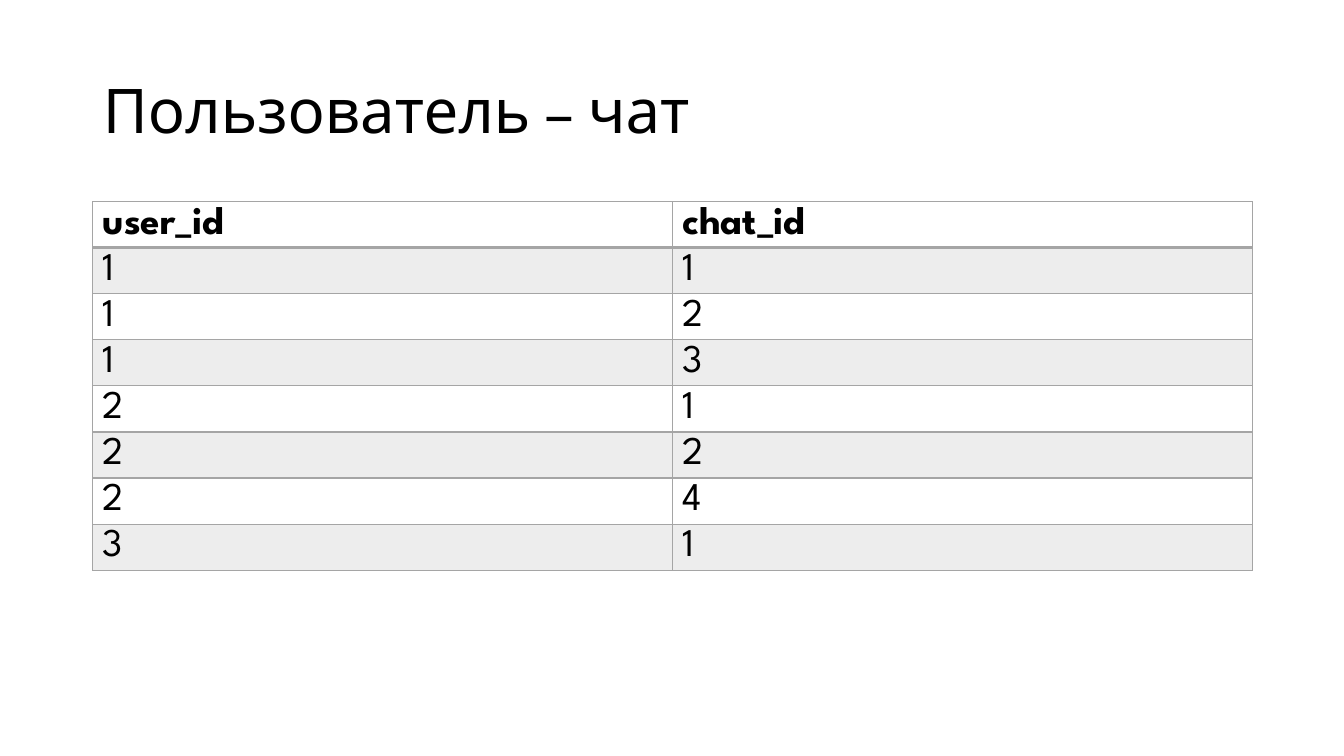
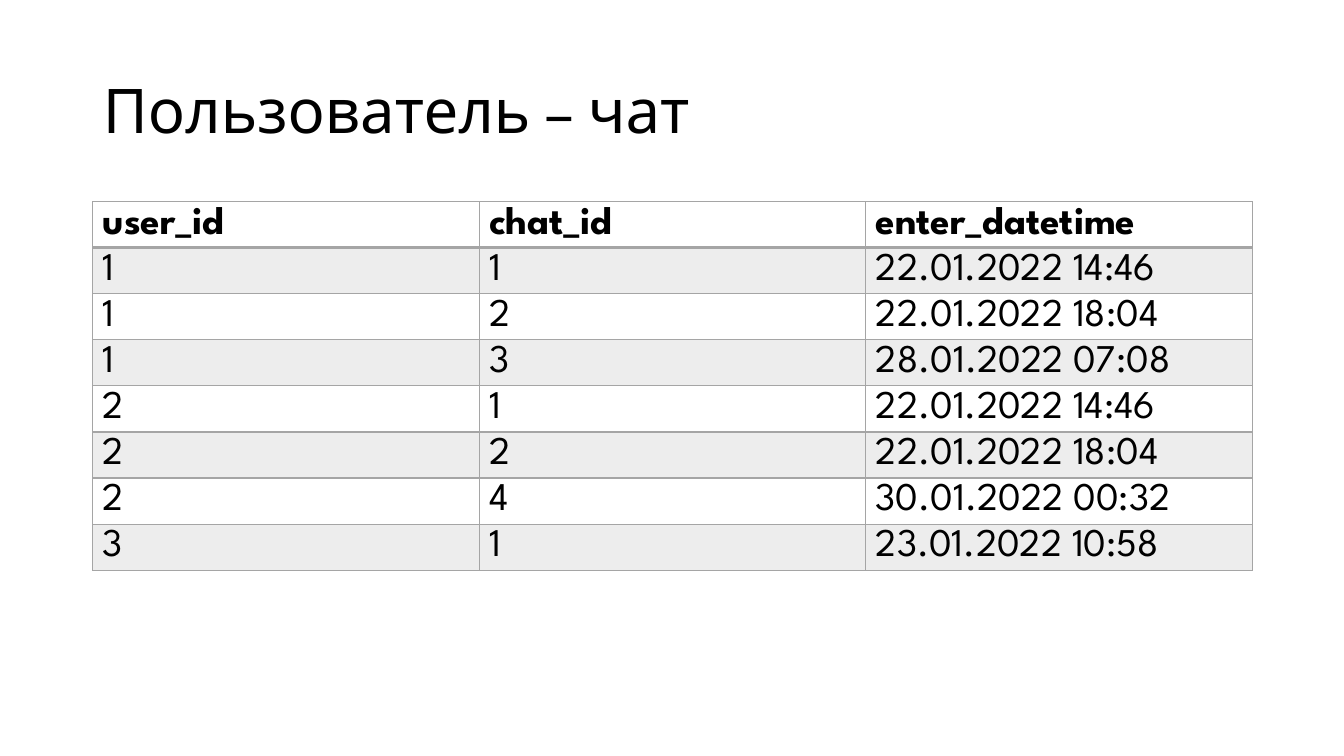
from dataclasses import dataclass

from lxml.etree import SubElement
from pptx import Presentation
from pptx.dml.color import RGBColor
from pptx.enum.text import MSO_ANCHOR, PP_ALIGN
from pptx.oxml.ns import qn
from pptx.util import Inches, Pt


@dataclass(frozen=True)
class Theme:
    """Colours, type and line weights shared by all slides."""
    font: str = "League Spartan"
    ink: RGBColor = RGBColor(0, 0, 0)
    grey: RGBColor = RGBColor(0xA5, 0xA5, 0xA5)
    band_opacity: int = 20
    title_size: int = 44
    table_size: int = 28
    thin: int = 1
    thick: int = 2


@dataclass(frozen=True)
class Box:
    """A region of the page, in inches."""
    left: float
    top: float
    width: float
    height: float

    def lengths(self):
        """Return left, top, width and height as lengths."""
        return [Inches(n) for n in (self.left, self.top, self.width, self.height)]


THEME = Theme()
TITLE_BOX = Box(0.92, 0.4, 11.5, 1.45)
TABLE_BOX = Box(0.92, 2, 11.5, 4.53)
ROW_HEIGHT = 0.41
TITLE = "Пользователь – чат"
MEMBERSHIPS = [
    ("1", "1", "22.01.2022 14:46"),
    ("1", "2", "22.01.2022 18:04"),
    ("1", "3", "28.01.2022 07:08"),
    ("2", "1", "22.01.2022 14:46"),
    ("2", "2", "22.01.2022 18:04"),
    ("2", "4", "30.01.2022 00:32"),
    ("3", "1", "23.01.2022 10:58"),
]
HEADINGS = ("user_id", "chat_id", "enter_datetime")


def style_font(para, size, bold=False):
    """Apply the theme's typeface and ink to a paragraph."""
    para.font.name = THEME.font
    para.font.size = Pt(size)
    para.font.bold = bold
    para.font.color.rgb = THEME.ink


def draw_borders(cell, top, bottom):
    """Outline a cell, with its own weights above and below."""
    properties = cell._tc.get_or_add_tcPr()
    weights = {"lnL": THEME.thin, "lnR": THEME.thin, "lnT": top, "lnB": bottom}
    for side, weight in weights.items():
        line = SubElement(properties, qn(f"a:{side}"), w=str(Pt(weight)))
        fill = SubElement(line, qn("a:solidFill"))
        SubElement(fill, qn("a:srgbClr"), val=str(THEME.grey))


def fill_band(cell):
    """Fill a cell with translucent grey."""
    cell.fill.solid()
    cell.fill.fore_color.rgb = THEME.grey
    colour = cell._tc.tcPr.find(qn("a:solidFill")).find(qn("a:srgbClr"))
    SubElement(colour, qn("a:alpha"), val=str(THEME.band_opacity * 1000))


def place_title(page, box, text):
    """Move and format the title placeholder."""
    title = page.shapes.title
    title.left, title.top, title.width, title.height = box.lengths()
    title.text_frame.text = text
    title.text_frame.vertical_anchor = MSO_ANCHOR.MIDDLE
    para = title.text_frame.paragraphs[0]
    para.alignment = PP_ALIGN.LEFT
    para.line_spacing = 0.9
    style_font(para, THEME.title_size)


def place_table(page, box, records):
    """Draw a ruled table with a bold heading and alternating bands."""
    frame = page.shapes.add_table(len(records), len(records[0]), *box.lengths())
    table = frame.table
    table.horz_banding = False
    for row_index, record in enumerate(records):
        table.rows[row_index].height = Inches(ROW_HEIGHT)
        top = THEME.thick if row_index == 1 else THEME.thin
        bottom = THEME.thick if row_index == 0 else THEME.thin
        for column_index, value in enumerate(record):
            cell = table.cell(row_index, column_index)
            cell.text = value
            style_font(cell.text_frame.paragraphs[0], THEME.table_size, row_index == 0)
            draw_borders(cell, top, bottom)
            if row_index % 2:
                fill_band(cell)
            else:
                cell.fill.background()
    frame.height = Inches(box.height)


def add_table_page(deck, column_count):
    """Add a titled page showing the first columns of the memberships."""
    page = deck.slides.add_slide(deck.slide_layouts.get_by_name("Title Only"))
    place_title(page, TITLE_BOX, TITLE)
    records = [record[:column_count] for record in [HEADINGS, *MEMBERSHIPS]]
    place_table(page, TABLE_BOX, records)


def main():
    """Build and save the deck."""
    deck = Presentation()
    deck.slide_width, deck.slide_height = Inches(13.33), Inches(7.5)
    for column_count in (2, 3):
        add_table_page(deck, column_count)
    deck.save("out.pptx")


main()
